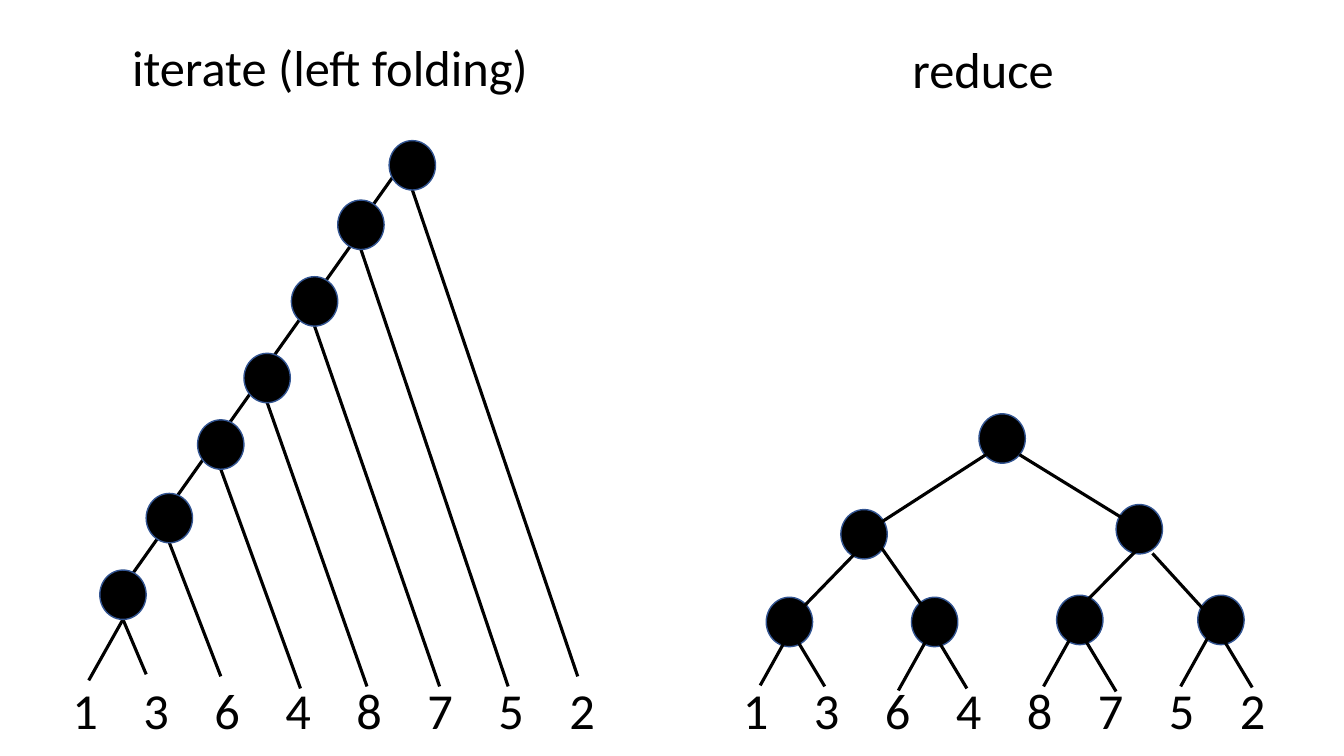
from lxml import etree
from pptx import Presentation, util as u
from pptx.dml.color import RGBColor
from pptx.enum import shapes, text
from pptx.oxml.ns import qn

COLS, ROWS = 13.33, 7.5
HUES = {"ink": "000000", "rim": "325491"}
FONT = {"name": "Calibri", "size": u.Pt(36), "bold": False}
FRAME = {"word_wrap": True, "auto_size": text.MSO_AUTO_SIZE.NONE,
         "vertical_anchor": text.MSO_ANCHOR.TOP}
PARA = {"alignment": text.PP_ALIGN.LEFT, "space_before": u.Pt(0)}
DISC = (0.46, 0.49)
STEP = 0.704
LEAVES = "13648752"

FOLD = [(1.22, 5.9), (1.68, 5.14), (2.19, 4.41), (2.65, 3.75),
        (3.12, 2.99), (3.58, 2.23), (4.09, 1.64)]
FOLD_TIPS = [(1.45, 6.69), (2.19, 6.71), (2.98, 6.83), (3.64, 6.81),
             (4.36, 6.81), (5.04, 6.81), (5.73, 6.71)]
FOLD_LINKS = [(1.6, 5.29), (2.07, 4.48), (2.62, 3.71),
              (3.05, 3.06), (3.54, 2.35), (3.95, 1.68)]
TREE = [(7.83, 6.17), (9.27, 6.17), (10.71, 6.15), (12.11, 6.15),
        (8.57, 5.3), (11.3, 5.25), (9.94, 4.35)]
TREE_LINKS = [(8.57, 5.4, 7.9, 6.09), (8.69, 5.36, 9.21, 6.1),
              (11.35, 5.38, 10.67, 6.07), (11.43, 5.49, 12.05, 6.17),
              (9.78, 4.51, 8.54, 5.31), (10.11, 4.51, 11.36, 5.28)]
LEFT_TWIGS = [(7.88, 6.19), (9.25, 6.24), (10.69, 6.2), (12.05, 6.2)]
RIGHT_TWIGS = [(7.85, 6.26), (9.26, 6.28), (10.74, 6.31), (12.09, 6.27)]


def grid(*cells):
    return [u.Inches(c) for c in cells]


def hue(key):
    return RGBColor.from_string(HUES[key])


def apply(item, look):
    for key, value in look.items():
        setattr(item, key, value)


def write(box, words):
    frame = box.text_frame
    apply(frame, FRAME)
    para = frame.paragraphs[0]
    apply(para, PARA)
    run = para.add_run()
    run.text = words
    apply(run.font, FONT)
    run.font.color.rgb = hue("ink")
    return para


def head(holder, words, *place):
    apply(holder, dict(zip(("left", "top", "width", "height"), grid(*place))))
    write(holder, words)


def digits(slide, left):
    box = slide.shapes.add_textbox(*grid(left, 6.69, 5.43, 0.71))
    para = write(box, "\t".join(LEAVES))
    stops = etree.SubElement(para._p.get_or_add_pPr(), qn("a:tabLst"))
    for i in range(1, len(LEAVES)):
        etree.SubElement(stops, qn("a:tab"), pos=str(u.Inches(i * STEP)), algn="l")


def node(slide, x, y):
    wide, high = DISC
    disc = slide.shapes.add_shape(
        shapes.MSO_SHAPE.OVAL, *grid(x - wide / 2, y - high / 2, wide, high))
    disc.shadow.inherit = False
    disc.fill.solid()
    disc.fill.fore_color.rgb = hue("ink")
    disc.line.color.rgb = hue("rim")
    disc.line.width = u.Pt(1)


def link(slide, *ends):
    line = slide.shapes.add_connector(shapes.MSO_CONNECTOR.STRAIGHT, *grid(*ends))
    line.line.color.rgb = hue("ink")
    line.line.width = u.Pt(2.25)
    etree.SubElement(line._element.spPr, qn("a:effectLst"))


def slant(slide, starts, dx, dy):
    for x, y in starts:
        link(slide, x, y, x + dx, y + dy)


def fold(slide):
    slant(slide, FOLD_LINKS, -0.39, 0.55)
    base = DISC[1] / 2
    for (x, y), tip in zip(FOLD, FOLD_TIPS):
        link(slide, x, y + base, *tip)
    x, y = FOLD[0]
    link(slide, x, y + base, 0.88, 6.75)
    for spot in FOLD:
        node(slide, *spot)


def tree(slide):
    for spot in TREE:
        node(slide, *spot)
    slant(slide, LEFT_TWIGS, -0.34, 0.61)
    slant(slide, RIGHT_TWIGS, 0.33, 0.55)
    for ends in TREE_LINKS:
        link(slide, *ends)


def main():
    deck = Presentation()
    deck.slide_width, deck.slide_height = grid(COLS, ROWS)
    slide = deck.slides.add_slide(deck.slide_layouts.get_by_name("Comparison"))
    spots = {p.placeholder_format.idx: p for p in slide.placeholders}
    head(spots.pop(1), "iterate (left folding)", 1.21, 0.31, 4.41, 0.71)
    head(spots.pop(3), "reduce", 8.95, 0.33, 1.81, 0.71)
    for spare in spots.values():
        spare._element.getparent().remove(spare._element)
    for left in (0.62, 7.27):
        digits(slide, left)
    fold(slide)
    tree(slide)
    deck.save("out.pptx")


main()
